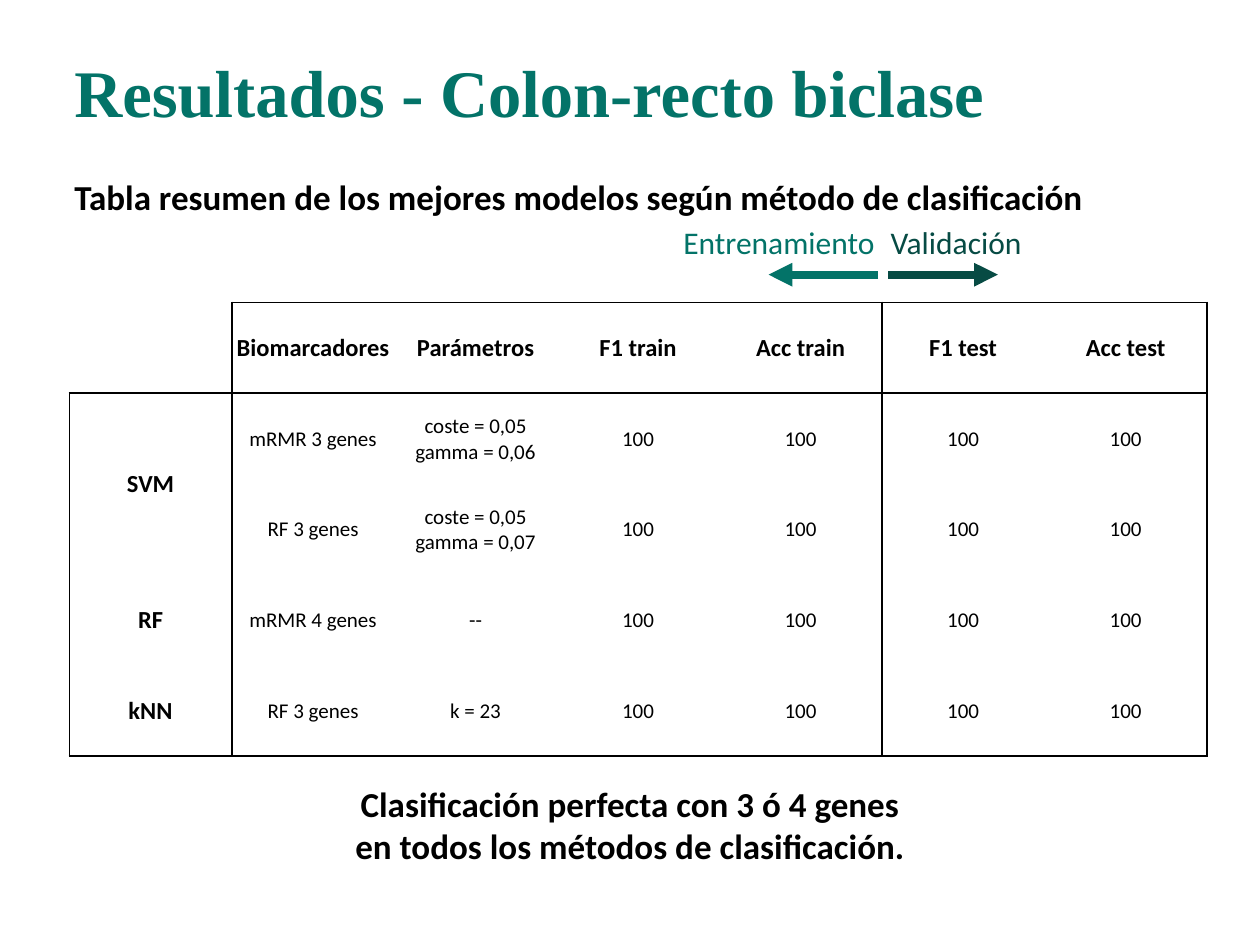
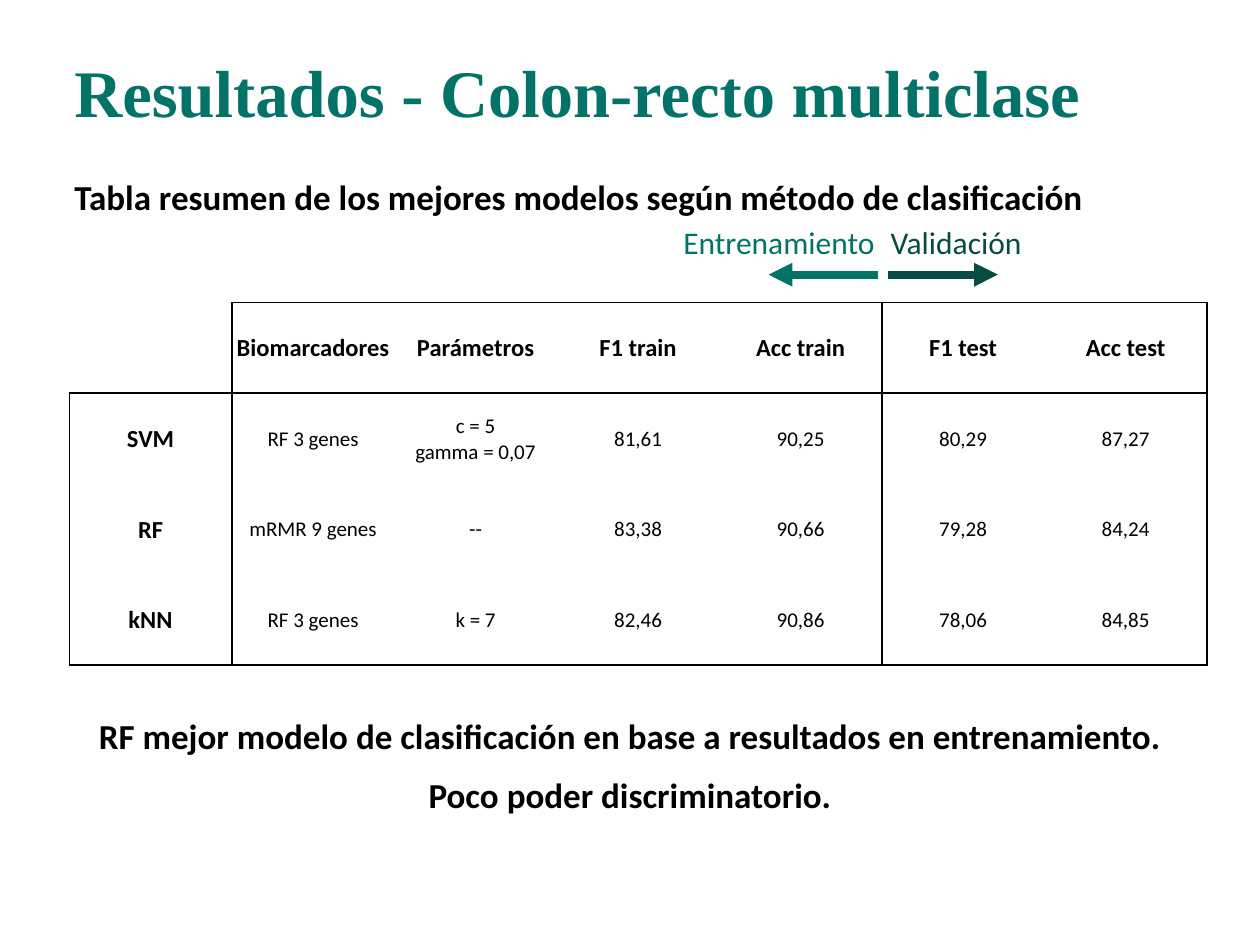
from copy import deepcopy

from lxml import etree
from pptx import Presentation
from pptx.dml.color import RGBColor
from pptx.enum.shapes import MSO_CONNECTOR
from pptx.enum.text import MSO_ANCHOR, MSO_AUTO_SIZE, PP_ALIGN
from pptx.oxml.ns import qn
from pptx.util import Inches, Pt

STRAIGHT = MSO_CONNECTOR.STRAIGHT
TOP, MIDDLE = MSO_ANCHOR.TOP, MSO_ANCHOR.MIDDLE
LEFT, CENTER, RIGHT = PP_ALIGN.LEFT, PP_ALIGN.CENTER, PP_ALIGN.RIGHT
NO_FIT, FIT_SHAPE = MSO_AUTO_SIZE.NONE, MSO_AUTO_SIZE.SHAPE_TO_FIT_TEXT

COLORS = {"black": "000000", "train": "037368", "test": "074B44"}

# Text formats
TITLE = {"name": "Times New Roman", "size": Pt(38), "bold": True, "color": "train"}
STATEMENT = {"name": "Calibri", "size": Pt(20), "bold": True, "color": "black"}
TABLE_HEAD = {**STATEMENT, "size": Pt(14)}
TABLE_VALUE = {**STATEMENT, "size": Pt(12), "bold": False}
PHASE = {"name": "Calibri", "size": Pt(18), "bold": False}

# Insets: left, top, right, bottom
TITLE_INSETS = (0.59, 0.24, 0.1, 0.05)
BODY_INSETS = (0.59, 0.05, 0.59, 0.05)
PHASE_INSETS = (0.1, 0.05, 0.1, 0.05)
CELL_INSETS = (0.01, 0.01, 0.01, 0)

# Regions: left, top, width, height
TITLE_BOX = (0, 0, 10, 1.34)
SUBTITLE_BOX = (0, 1.34, 10, 0.53)
PHASES_BOX = (4.58, 1.72, 3.69, 0.5)
TABLE_LEFT, TABLE_TOP = 0.55, 2.4
COLUMN_WIDTH, ROW_HEIGHT = 1.29, 0.72
CONCLUSION_HEIGHT = 0.91

SUBTITLE = "Tabla resumen de los mejores modelos según método de clasificación"
HEADERS = ["", "Biomarcadores", "Parámetros", "F1 train", "Acc train", "F1 test", "Acc test"]
BLOCK_STARTS, BLOCK_ENDS = (0, 1, 5), (0, 4, 6)

PERFECT = ["100"] * 4
PAGES = [
    {
        "title": "Resultados - Colon-recto biclase",
        "rows": [
            ["SVM", "mRMR 3 genes", "coste = 0,05\ngamma = 0,06", *PERFECT],
            ["", "RF 3 genes", "coste = 0,05\ngamma = 0,07", *PERFECT],
            ["RF", "mRMR 4 genes", "--", *PERFECT],
            ["kNN", "RF 3 genes", "k = 23", *PERFECT],
        ],
        "conclusion_top": 6.16,
        "conclusion": ["Clasificación perfecta con 3 ó 4 genes\n"
                       "en todos los métodos de clasificación."],
    },
    {
        "title": "Resultados - Colon-recto multiclase",
        "rows": [
            ["SVM", "RF 3 genes", "c = 5\ngamma = 0,07", "81,61", "90,25", "80,29", "87,27"],
            ["RF", "mRMR 9 genes", "--", "83,38", "90,66", "79,28", "84,24"],
            ["kNN", "RF 3 genes", "k = 7", "82,46", "90,86", "78,06", "84,85"],
        ],
        "conclusion_top": 5.62,
        "conclusion": ["RF mejor modelo de clasificación en base a resultados en entrenamiento.",
                       "Poco poder discriminatorio."],
    },
]


def set_insets(target, insets):
    for side, inset in zip(("left", "top", "right", "bottom"), insets):
        setattr(target, f"margin_{side}", Inches(inset))


def write_para(para, text, style, align):
    """Write one paragraph; line breaks take the format of the text."""
    para.text = text
    para.alignment = align
    for span in para.runs:
        for name, value in style.items():
            if name == "color":
                span.font.color.rgb = RGBColor.from_string(COLORS[value])
            else:
                setattr(span.font, name, value)
    for line_break in para._p.findall(qn("a:br")):
        line_break.insert(0, deepcopy(para.runs[0]._r.rPr))


def write_box(box, texts, style, insets, align=LEFT, anchor=TOP, fit=NO_FIT):
    frame = box.text_frame
    frame.word_wrap = True
    frame.auto_size = fit
    frame.vertical_anchor = anchor
    set_insets(frame, insets)
    for index, text in enumerate(texts):
        para = frame.add_paragraph() if index else frame.paragraphs[0]
        write_para(para, text, style, align)
        para.space_before = Pt(10 if index else 0)


def place(shape, region):
    for name, value in zip(("left", "top", "width", "height"), region):
        setattr(shape, name, Inches(value))


def add_textbox(page, region):
    return page.shapes.add_textbox(*map(Inches, region))


def fill_headings(page, title):
    heading = page.shapes.title
    place(heading, TITLE_BOX)
    write_box(heading, [title], TITLE, TITLE_INSETS, anchor=MIDDLE)
    heading.text_frame.paragraphs[0].line_spacing = 0.9

    body = page.placeholders[1]
    place(body, SUBTITLE_BOX)
    properties = body.text_frame.paragraphs[0]._p.get_or_add_pPr()
    properties.set("marL", "0")
    properties.set("indent", "0")
    etree.SubElement(properties, qn("a:buNone"))
    write_box(body, [SUBTITLE], STATEMENT, BODY_INSETS)


def add_arrow(page, start, end, y, color):
    arrow = page.shapes.add_connector(STRAIGHT, *map(Inches, (start, y, end, y)))
    arrow.line.color.rgb = RGBColor.from_string(COLORS[color])
    arrow.line.width = Pt(4.5)
    etree.SubElement(arrow.line._get_or_add_ln(), qn("a:tailEnd"), type="triangle")
    etree.SubElement(arrow._element.spPr, qn("a:effectLst"))


def add_phases(page, region):
    """Labels and arrows that part training from validation."""
    left, top, width, height = region
    split = left + 2.39
    arrow_y = top + 0.46
    add_arrow(page, split + 0.08, split + 0.95, arrow_y, "test")
    add_arrow(page, split, split - 0.87, arrow_y, "train")
    labels = [
        ("Validación", split, left + width - split, "test", LEFT),
        ("Entrenamiento", left, 2.46, "train", RIGHT),
    ]
    for text, label_left, label_width, color, align in labels:
        box = add_textbox(page, (label_left, top, label_width, 0.4))
        write_box(box, [text], {**PHASE, "color": color}, PHASE_INSETS, align, fit=FIT_SHAPE)


def set_borders(cell, sides):
    properties = cell._tc.get_or_add_tcPr()
    for side in "LRTB":
        line = etree.SubElement(properties, qn(f"a:ln{side}"), w=str(Pt(1)))
        if side in sides:
            fill = etree.SubElement(line, qn("a:solidFill"))
            etree.SubElement(fill, qn("a:srgbClr"), val=COLORS["black"])
        else:
            etree.SubElement(line, qn("a:noFill"))


def border_sides(row, column, last_row):
    """Outline the label, training and test blocks and the header row."""
    corner = row == 0 and column == 0
    rules = {
        "L": column in BLOCK_STARTS and not corner,
        "R": column in BLOCK_ENDS,
        "T": row in (0, 1) and not corner,
        "B": row in (0, last_row),
    }
    return [side for side, drawn in rules.items() if drawn]


def add_results(page, left, top, rows):
    grid = [HEADERS, *rows]
    size = (COLUMN_WIDTH * len(HEADERS), ROW_HEIGHT * len(grid))
    table = page.shapes.add_table(len(grid), len(HEADERS),
                                  *map(Inches, (left, top, *size))).table
    table.first_row = table.horz_banding = False
    for column in table.columns:
        column.width = Inches(COLUMN_WIDTH)
    for row_index, texts in enumerate(grid):
        table.rows[row_index].height = Inches(ROW_HEIGHT)
        for column_index, text in enumerate(texts):
            cell = table.cell(row_index, column_index)
            set_borders(cell, border_sides(row_index, column_index, len(grid) - 1))
            cell.fill.background()
            cell.vertical_anchor = MIDDLE
            set_insets(cell, CELL_INSETS)
            is_head = row_index == 0 or column_index == 0
            style = TABLE_HEAD if is_head else TABLE_VALUE
            write_para(cell.text_frame.paragraphs[0], text, style, CENTER)
        # A row without a method belongs to the method above
        if row_index and not texts[0]:
            table.cell(row_index - 1, 0).merge(table.cell(row_index, 0))


def add_conclusion(page, region, texts):
    write_box(add_textbox(page, region), texts, STATEMENT, BODY_INSETS, CENTER)


def build_page(deck, content):
    page = deck.slides.add_slide(deck.slide_layouts[1])
    fill_headings(page, content["title"])
    add_results(page, TABLE_LEFT, TABLE_TOP, content["rows"])
    add_conclusion(page, (0, content["conclusion_top"], 10, CONCLUSION_HEIGHT),
                   content["conclusion"])
    add_phases(page, PHASES_BOX)


def main():
    deck = Presentation()
    deck.slide_width, deck.slide_height = Inches(10), Inches(7.5)
    for content in PAGES:
        build_page(deck, content)
    deck.save("out.pptx")


if __name__ == "__main__":
    main()
